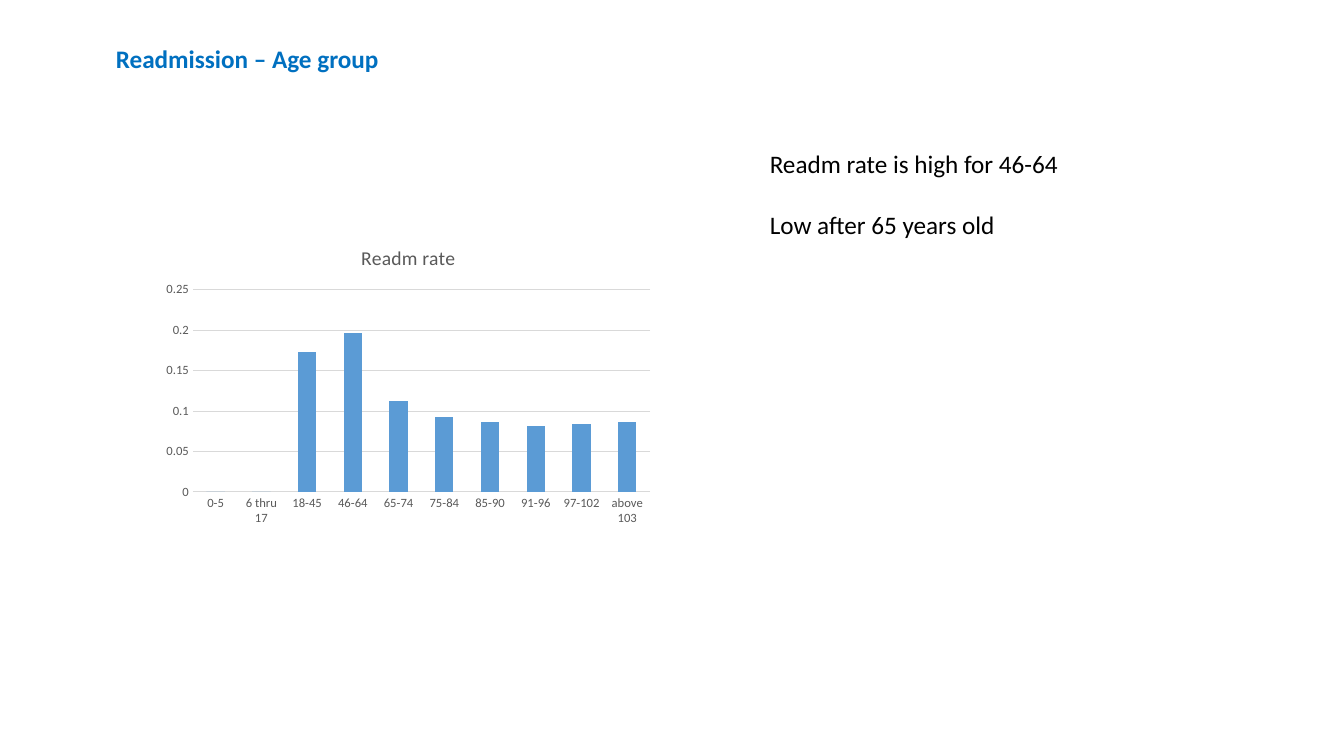
"""Build the slide on readmission rate by age group."""
import pptx
import pptx.chart.data
import pptx.dml.color
import pptx.enum.chart
import pptx.util
from pptx.util import Cm, Pt

HEADING_BLUE = pptx.dml.color.RGBColor(0x00, 0x70, 0xC0)
BAR_BLUE = pptx.dml.color.RGBColor(0x5B, 0x9B, 0xD5)
LABEL_GREY = pptx.dml.color.RGBColor(0x59, 0x59, 0x59)
GRID_GREY = pptx.dml.color.RGBColor(0xD9, 0xD9, 0xD9)
BLACK = pptx.dml.color.RGBColor(0x00, 0x00, 0x00)

READM_RATES = {
    "0-5": 0, "6 thru 17": 0, "18-45": 0.173, "46-64": 0.197, "65-74": 0.112,
    "75-84": 0.093, "85-90": 0.087, "91-96": 0.081, "97-102": 0.084,
    "above 103": 0.086,
}


def set_format(target, values):
    """Set each attribute of the target from a dict of values."""
    for name, value in values.items():
        setattr(target, name, value)


def set_font(font, size, color, bold=False):
    """Give a font its size, colour and weight."""
    set_format(font, {"name": "Calibri", "size": Pt(size), "bold": bold})
    font.color.rgb = color


def set_line(line, color):
    """Give a line its colour and width."""
    line.color.rgb = color
    line.width = Pt(0.75)


def add_statements(slide, box, statements, color, bold=False):
    """Place statements in a box, one paragraph each, a line apart."""
    frame = slide.shapes.add_textbox(*box).text_frame
    frame.word_wrap = True
    for index, statement in enumerate(statements):
        paragraph = frame.add_paragraph() if index else frame.paragraphs[0]
        paragraph.space_before = Pt(22 if index else 0)
        run = paragraph.add_run()
        run.text = statement
        set_font(run.font, 18, color, bold)


def add_rate_chart(slide, box):
    """Place the column chart of readmission rates in a box."""
    rates = pptx.chart.data.CategoryChartData()
    rates.categories = list(READM_RATES)
    rates.add_series("Readm rate", list(READM_RATES.values()))
    chart = slide.shapes.add_chart(
        pptx.enum.chart.XL_CHART_TYPE.COLUMN_STACKED, *box, rates).chart
    set_font(chart.font, 10, BLACK)
    set_format(chart, {"has_legend": False, "has_title": True})

    title = chart.chart_title.text_frame
    title.text = "Readm rate"
    set_font(title.paragraphs[0].runs[0].font, 14, LABEL_GREY)

    columns = chart.plots[0]
    set_format(columns, {"gap_width": 150, "overlap": 100, "vary_by_categories": False})
    fill = columns.series[0].format.fill
    fill.solid()
    fill.fore_color.rgb = BAR_BLUE

    no_tick = pptx.enum.chart.XL_TICK_MARK.NONE
    for axis in (chart.category_axis, chart.value_axis):
        set_format(axis, {"major_tick_mark": no_tick, "minor_tick_mark": no_tick})
        set_font(axis.tick_labels.font, 9, LABEL_GREY)
    set_line(chart.category_axis.format.line, GRID_GREY)
    set_format(chart.value_axis, {
        "minimum_scale": 0, "maximum_scale": 0.25, "major_unit": 0.05,
        "has_major_gridlines": True})
    set_line(chart.value_axis.major_gridlines.format.line, GRID_GREY)
    chart.value_axis.format.line.fill.background()


def main():
    """Build and save the slide."""
    deck = pptx.Presentation()
    set_format(deck, {"slide_width": Cm(33.87), "slide_height": Cm(19.05)})
    slide = deck.slides.add_slide(deck.slide_layouts[6])
    add_rate_chart(slide, (Cm(3.94), Cm(5.77), Cm(12.7), Cm(7.62)))
    add_statements(slide, (Cm(2.67), Cm(0.97), Cm(12.9), Cm(1.03)),
                   ["Readmission – Age group"], HEADING_BLUE, bold=True)
    add_statements(slide, (Cm(19.15), Cm(3.61), Cm(13.67), Cm(2.57)),
                   ["Readm rate is high for 46-64", "Low after 65 years old"], BLACK)
    deck.save("out.pptx")


if __name__ == "__main__":
    main()
